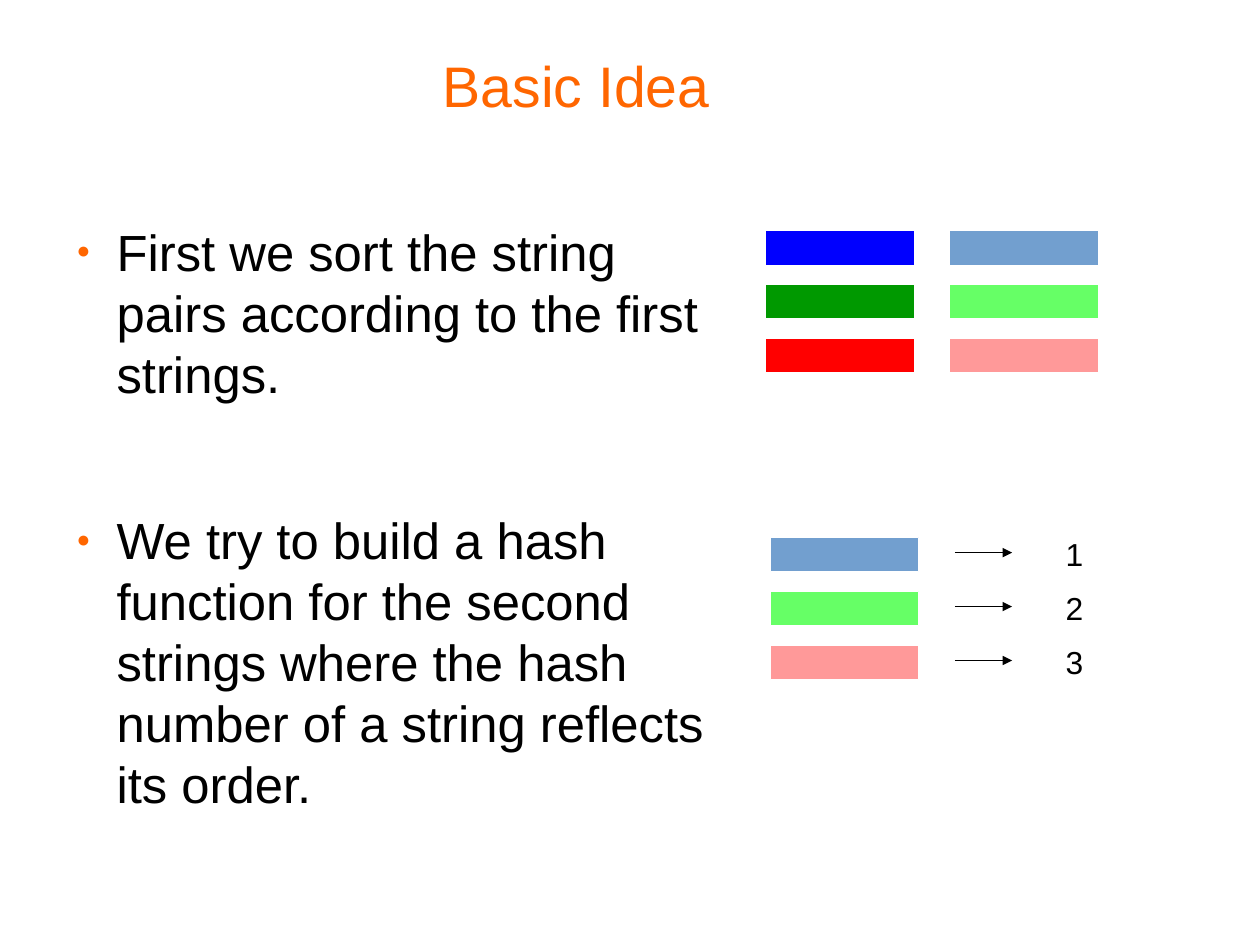
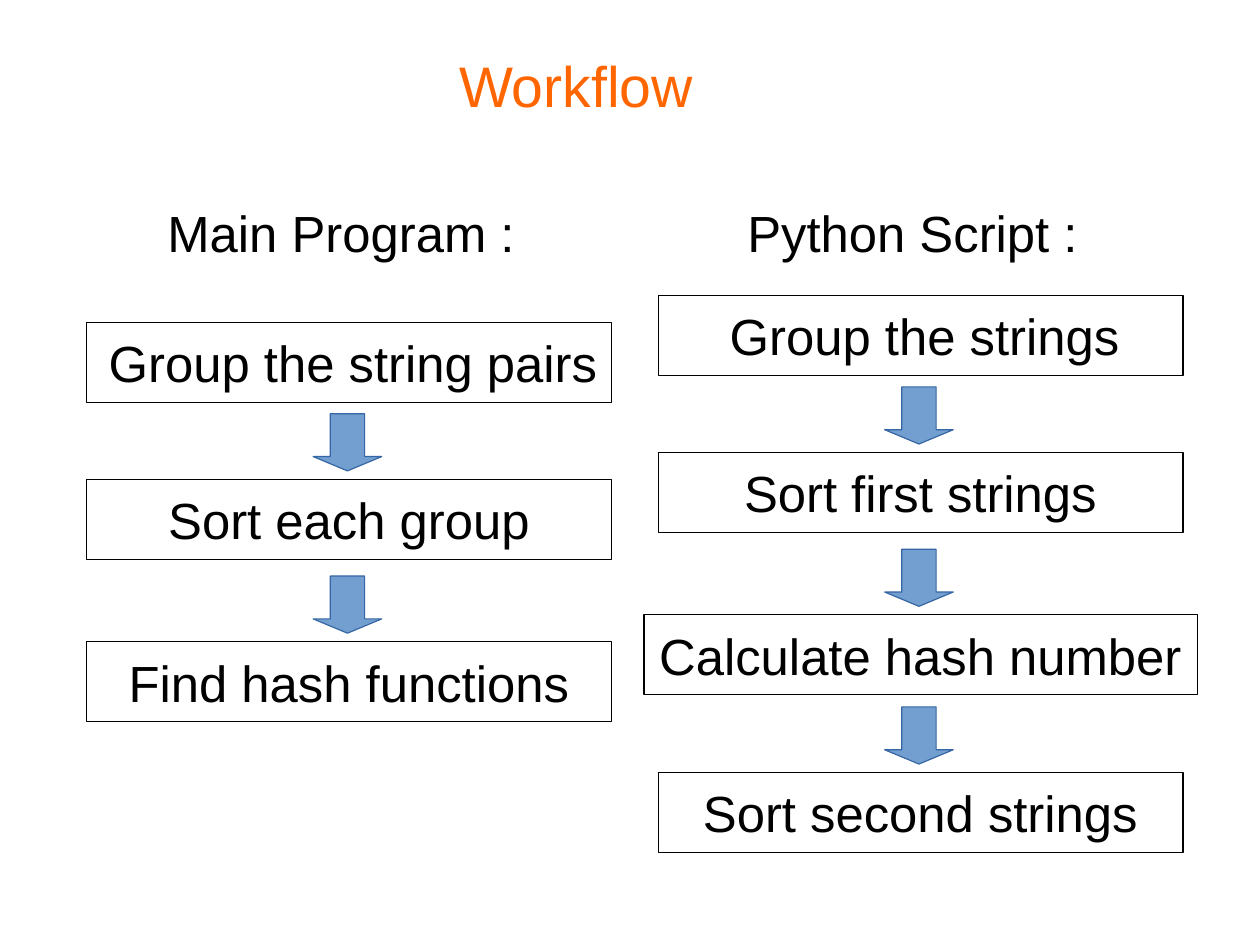
"""Builds two slides on string hashing: the basic idea and the workflow."""
from lxml import etree
from pptx import Presentation
from pptx import util as u
from pptx.dml.color import RGBColor
from pptx.enum import shapes, text
from pptx.oxml.ns import qn

ORANGE = RGBColor(0xFF, 0x66, 0x00)
BLACK = RGBColor(0x00, 0x00, 0x00)
WHITE = RGBColor(0xFF, 0xFF, 0xFF)
BLUE = RGBColor(0x00, 0x00, 0xFF)
GREEN = RGBColor(0x00, 0x99, 0x00)
RED = RGBColor(0xFF, 0x00, 0x00)
LIGHT_BLUE = RGBColor(0x72, 0x9F, 0xCF)
LIGHT_GREEN = RGBColor(0x66, 0xFF, 0x66)
LIGHT_RED = RGBColor(0xFF, 0x99, 0x99)
EDGE_BLUE = RGBColor(0x34, 0x65, 0xA4)

FONT = "Arial"
CELL = u.Inches(0.1)


def cells(*counts):
    return [round(count * CELL) for count in counts]


def write(frame, *lines, size=32, color=BLACK, align=text.PP_ALIGN.CENTER,
          anchor=text.MSO_ANCHOR.MIDDLE, wrap=True, insets=(0, 0, 0, 0)):
    frame.word_wrap = wrap
    frame.vertical_anchor = anchor
    (frame.margin_left, frame.margin_top,
     frame.margin_right, frame.margin_bottom) = cells(*insets)
    for index, line in enumerate(lines):
        paragraph = frame.paragraphs[0] if index == 0 else frame.add_paragraph()
        paragraph.alignment = align
        run = paragraph.add_run()
        run.text = line
        run.font.name, run.font.size = FONT, u.Pt(size)
        run.font.color.rgb = color
    return frame.paragraphs


class Deck:
    def __init__(self):
        self.show = Presentation()
        self.show.slide_width, self.show.slide_height = u.Cm(28), u.Cm(21)
        self.slide = None

    def start(self, title):
        self.slide = self.show.slides.add_slide(self.show.slide_layouts[6])
        self.label(5.5, 3.35, 89.8, 8.1, title, size=36, color=ORANGE)

    def label(self, left, top, width, height, *lines, **style):
        holder = self.slide.shapes.add_textbox(*cells(left, top, width, height))
        return write(holder.text_frame, *lines, **style)

    def bullets(self, left, top, width, height, *lines, gap):
        paragraphs = self.label(left, top, width, height, *lines,
                                align=text.PP_ALIGN.LEFT, anchor=text.MSO_ANCHOR.TOP)
        for index, paragraph in enumerate(paragraphs):
            paragraph.space_before = u.Pt(gap if index else 0)
            layout = paragraph._p.get_or_add_pPr()
            layout.set("marL", str(u.Inches(0.47)))
            layout.set("indent", str(u.Inches(-0.35)))
            tint = etree.SubElement(layout, qn("a:buClr"))
            etree.SubElement(tint, qn("a:srgbClr"), val=str(ORANGE))
            etree.SubElement(layout, qn("a:buSzPct"), val="45000")
            etree.SubElement(layout, qn("a:buFont"), typeface=FONT)
            etree.SubElement(layout, qn("a:buChar"), char="●")

    def block(self, left, top, width, height, fill, edge=WHITE,
              kind=shapes.MSO_SHAPE.RECTANGLE):
        block = self.slide.shapes.add_shape(kind, *cells(left, top, width, height))
        block.shadow.inherit = False
        block.fill.solid()
        block.fill.fore_color.rgb = fill
        block.line.color.rgb = edge
        block.line.width = u.Pt(0.75)
        return block

    def bars(self, left, top, colors):
        for row, color in enumerate(colors):
            self.block(left, top + row * BAR_STEP, 13, 3, color)

    def arrow(self, left, right, row):
        arrow = self.slide.shapes.add_connector(
            shapes.MSO_CONNECTOR.STRAIGHT, *cells(left, row, right, row))
        arrow.line.color.rgb = BLACK
        arrow.line.width = u.Pt(0.75)
        etree.SubElement(arrow.line._get_or_add_ln(), qn("a:tailEnd"), type="triangle")
        etree.SubElement(arrow._element.spPr, qn("a:effectLst"))

    def step(self, center, top, caption, width=45.9, nudge=0):
        box = self.block(center - width / 2, top, width, 7, WHITE, BLACK)
        write(box.text_frame, caption, wrap=False, insets=(1 + nudge, 0.5, 1, 0.5))

    def down_arrow(self, center, top):
        arrow = self.block(center - 3, top, 6, 5, LIGHT_BLUE, EDGE_BLUE,
                           shapes.MSO_SHAPE.DOWN_ARROW)
        arrow.adjustments[0], arrow.adjustments[1] = 0.5, 0.25

    def flow(self, center, heading, top, steps):
        self.label(center - 23.65, 16.8, 45.9, 7, heading)
        for index, (offset, step) in enumerate(zip(STEP_OFFSETS, steps)):
            if index:
                self.down_arrow(center - 0.15, top + offset - 5.75)
            self.step(center, top + offset, **step)


BAR_STEP = 4.72
STEP_OFFSETS = (0, 13.75, 27.95, 41.75)
SECOND_STRINGS = (LIGHT_BLUE, LIGHT_GREEN, LIGHT_RED)

deck = Deck()

deck.start("Basic Idea")
deck.bullets(5.5, 19.3, 56.5, 55.4,
             "First we sort the string pairs according to the first strings.",
             "We try to build a hash function for the second strings where the "
             "hash number of a string reflects its order.", gap=66.6)
deck.bars(67, 20.2, (BLUE, GREEN, RED))
deck.bars(83.1, 20.2, SECOND_STRINGS)
deck.bars(67.4, 47, SECOND_STRINGS)
for order in range(3):
    row = 47 + order * BAR_STEP
    deck.arrow(83.55, 88.55, row + 1.35)
    deck.label(90.6, row - 0.05, 6.8, 3, str(order + 1), size=20)

deck.start("Workflow")
deck.flow(30.55, "Main Program :", 28.2, (
    dict(caption="Group the string pairs", nudge=0.7),
    dict(caption="Sort each group"),
    dict(caption="Find hash functions")))
deck.flow(80.55, "Python Script :", 25.85, (
    dict(caption="Group the strings", nudge=0.7),
    dict(caption="Sort first strings"),
    dict(caption="Calculate hash number", width=48.4),
    dict(caption="Sort second strings")))

deck.show.save("out.pptx")
